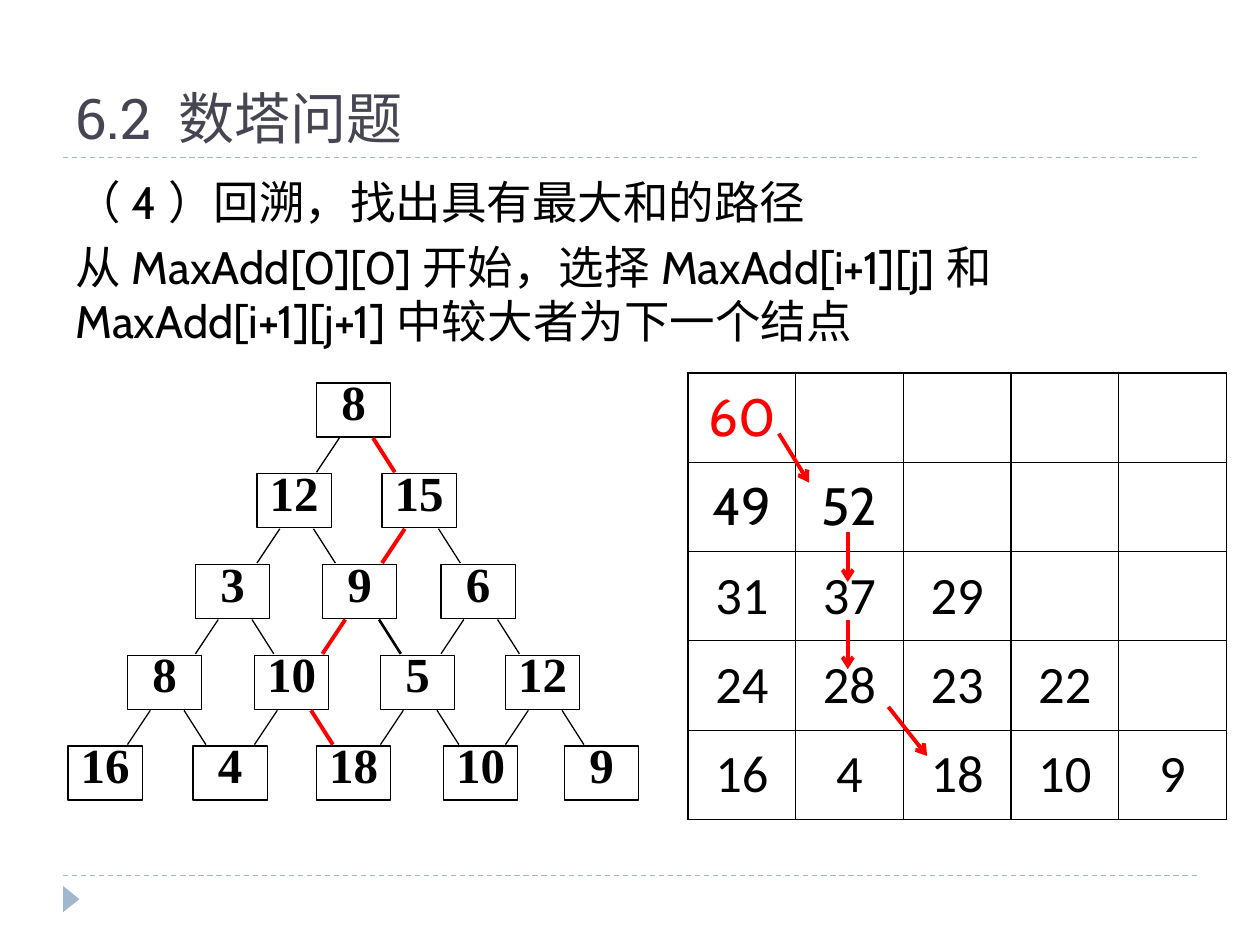
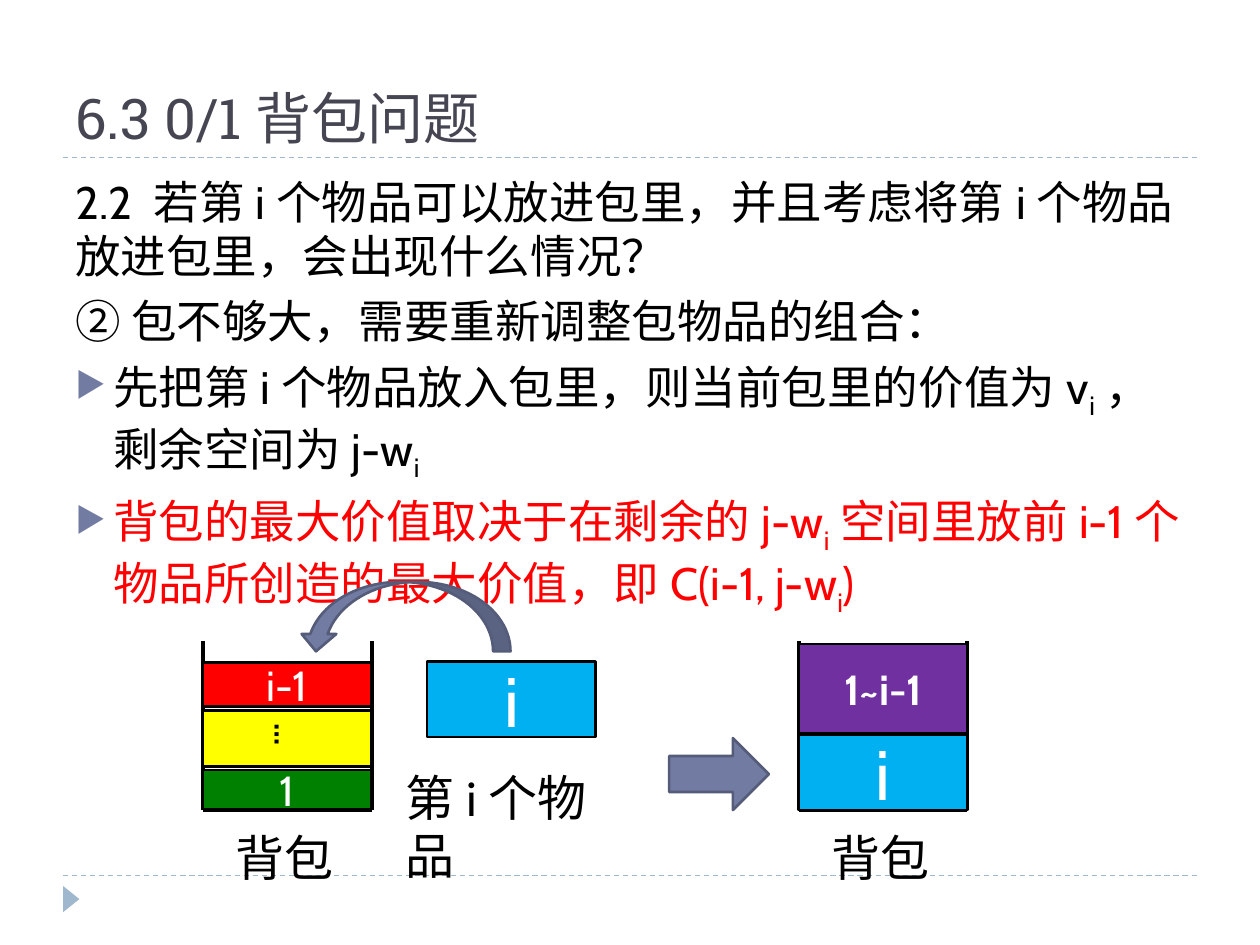
from dataclasses import dataclass
from typing import NamedTuple, Optional

import lxml.etree
import pptx
import pptx.dml.color
import pptx.enum.dml
import pptx.enum.shapes
import pptx.enum.text
import pptx.oxml.ns
import pptx.util

Cm = pptx.util.Cm
Pt = pptx.util.Pt
qn = pptx.oxml.ns.qn
SHAPE = pptx.enum.shapes.MSO_SHAPE
ALIGN = pptx.enum.text.PP_ALIGN
ANCHOR = pptx.enum.text.MSO_ANCHOR

COLORS = {
    "title": "464653", "rule": "9FB8CD", "bullet": "727CA3", "arrow_edge": "545C79",
    "black": "000000", "white": "FFFFFF", "red": "FF0000", "green": "008000",
    "yellow": "FFFF00", "sky": "00B0F0", "purple": "7030A0",
}
TITLE_FONT, BODY_FONT, PLAIN_FONT, NODE_FONT = (
    "Roboto Slab", "Cabin", "Calibri", "Times New Roman")


class Box(NamedTuple):
    """Left, top, width and height in centimetres."""
    left: float
    top: float
    width: float
    height: float


class Segment(NamedTuple):
    """Start and end point in centimetres."""
    x1: float
    y1: float
    x2: float
    y2: float


@dataclass
class Paragraph:
    """Runs alternate between normal text and subscript."""
    runs: tuple[str, ...]
    bulleted: bool = False
    color: Optional[str] = None


@dataclass
class Block:
    """A filled rectangle with a caption."""
    caption: str
    box: Box
    fill: str
    size: float = 24
    color: str = "white"
    bold: bool = False
    vertical: bool = False


TITLE_BOX = Box(1.27, 0.43, 22.86, 2.74)
BODY_BOX = Box(1.27, 3.38, 22.86, 13.72)
RULE_TOPS = (3.18, 17.65)

# Each tower row lists its values with their left edges.
TOWER = (
    ((8, 6.38),),
    ((12, 5.18), (15, 7.70)),
    ((3, 3.94), (9, 6.50), (6, 8.89)),
    ((8, 2.57), (10, 5.13), (5, 7.67), (12, 10.19)),
    ((16, 1.37), (4, 3.89), (18, 6.38), (10, 8.94), (9, 11.38)),
)
BEST_PATH = (0, 1, 1, 1, 2)
TOWER_TOP, TOWER_PITCH = 7.72, 1.83
NODE_WIDTH, NODE_HEIGHT = 1.5, 1.09
EDGE_OFFSETS = ((0.46, 0), (1.14, 1.58))

MAX_ADD = ((60,), (49, 52), (31, 37, 29), (24, 28, 23, 22), (16, 4, 18, 10, 9))
TABLE_LEFT, TABLE_TOP, COLUMN_WIDTH, ROW_HEIGHT = 13.87, 7.52, 2.17, 1.8
BACKTRACK = (
    Segment(15.70, 8.74, 16.31, 9.73),
    Segment(17.09, 10.72, 17.09, 11.73),
    Segment(17.91, 14.25, 18.69, 15.24),
    Segment(17.09, 12.50, 17.09, 13.49),
)

BAG_TOP, BAG_SIDE = 12.93, 3.4
FULL_BAG_LEFT, NEW_BAG_LEFT = 4.09, 16.1
BLOCKS = (
    Block("1", Box(FULL_BAG_LEFT, 15.52, BAG_SIDE, 0.79), "green"),
    Block("…", Box(FULL_BAG_LEFT, 14.33, BAG_SIDE, 1.12), "yellow", 18, "black", True, True),
    Block("i-1", Box(FULL_BAG_LEFT, 13.36, BAG_SIDE, 0.89), "red"),
    Block("i", Box(8.61, 13.34, BAG_SIDE, 1.52), "sky", 40),
    Block("i", Box(NEW_BAG_LEFT, 14.81, BAG_SIDE, 1.52), "sky", 40),
    Block("1~i-1", Box(NEW_BAG_LEFT, 12.98, BAG_SIDE, 1.8), "purple", bold=True),
)


def rgb(name: str) -> pptx.dml.color.RGBColor:
    return pptx.dml.color.RGBColor.from_string(COLORS[name])


def lengths(values: tuple) -> list:
    return [Cm(value) for value in values]


def add_bullet(paragraph) -> None:
    properties = paragraph._p.get_or_add_pPr()
    properties.set("marL", str(Cm(0.76)))
    properties.set("indent", str(-Cm(0.76)))
    color = lxml.etree.SubElement(properties, qn("a:buClr"))
    lxml.etree.SubElement(color, qn("a:srgbClr"), val=COLORS["bullet"])
    lxml.etree.SubElement(properties, qn("a:buSzPct"), val="76000")
    lxml.etree.SubElement(properties, qn("a:buChar"), char="▶")


def write_text(frame, *paragraphs: Paragraph, size: float, font: str = BODY_FONT,
               color: str = "black", bold: bool = False, align=ALIGN.LEFT,
               anchor=ANCHOR.TOP, line_spacing: Optional[float] = None,
               space_before: float = 0, wrap: bool = True,
               margin: Optional[float] = None) -> None:
    frame.word_wrap = wrap
    frame.vertical_anchor = anchor
    if margin is not None:
        frame.margin_left = frame.margin_right = Cm(margin)
        frame.margin_top = frame.margin_bottom = Cm(margin)
    for index, content in enumerate(paragraphs):
        paragraph = frame.add_paragraph() if index else frame.paragraphs[0]
        paragraph.alignment = align
        paragraph.space_before = Pt(space_before)
        if line_spacing:
            paragraph.line_spacing = line_spacing
        if content.bulleted:
            add_bullet(paragraph)
        for position, text in enumerate(content.runs):
            run = paragraph.add_run()
            run.text = text
            run.font.size = Pt(size)
            run.font.name = font
            run.font.bold = bold
            run.font.color.rgb = rgb(content.color or color)
            if position % 2:
                run.font._element.set("baseline", "-25000")


def draw_text(slide, box: Box, *paragraphs: Paragraph, **text_format) -> None:
    text_box = slide.shapes.add_textbox(*lengths(box))
    write_text(text_box.text_frame, *paragraphs, **text_format)


def draw_shape(slide, kind, box: Box, fill: str, edge: Optional[str] = None,
               width: float = 1.5, rotation: float = 0):
    shape = slide.shapes.add_shape(kind, *lengths(box))
    shape.shadow.inherit = False
    shape.rotation = rotation
    shape.fill.solid()
    shape.fill.fore_color.rgb = rgb(fill)
    if edge:
        shape.line.color.rgb = rgb(edge)
        shape.line.width = Pt(width)
    else:
        shape.line.fill.background()
    return shape


def draw_line(slide, segment: Segment, color: str = "black", width: float = 0.75,
              dashed: bool = False, arrow: bool = False) -> None:
    connector = slide.shapes.add_connector(
        pptx.enum.shapes.MSO_CONNECTOR.STRAIGHT, *lengths(segment))
    connector.line.color.rgb = rgb(color)
    connector.line.width = Pt(width)
    if dashed:
        connector.line.dash_style = pptx.enum.dml.MSO_LINE.DASH
    properties = connector._element.spPr
    if arrow:
        lxml.etree.SubElement(properties.find(qn("a:ln")), qn("a:tailEnd"), type="arrow")
    lxml.etree.SubElement(properties, qn("a:effectLst"))


def start_slide(deck, title: str, *body: Paragraph):
    """Add a slide with the shared rules, corner marker, title and body text."""
    slide = deck.slides.add_slide(deck.slide_layouts[6])
    for top in RULE_TOPS:
        draw_line(slide, Segment(1.27, top, 24.13, top), "rule", dashed=True)
    draw_shape(slide, SHAPE.ISOSCELES_TRIANGLE, Box(1.17, 17.96, 0.53, 0.33), "rule",
               rotation=90)
    draw_text(slide, TITLE_BOX, Paragraph((title,)), size=32, font=TITLE_FONT,
              color="title", anchor=ANCHOR.BOTTOM)
    draw_text(slide, BODY_BOX, *body, size=26, space_before=6)
    return slide


def set_borders(cell, width: float) -> None:
    properties = cell._tc.get_or_add_tcPr()
    for index, side in enumerate(("lnL", "lnR", "lnT", "lnB")):
        border = lxml.etree.Element(qn(f"a:{side}"), w=str(Pt(width)))
        fill = lxml.etree.SubElement(border, qn("a:solidFill"))
        lxml.etree.SubElement(fill, qn("a:srgbClr"), val=COLORS["black"])
        properties.insert(index, border)


def draw_sum_table(slide) -> None:
    count = len(MAX_ADD)
    box = Box(TABLE_LEFT, TABLE_TOP, COLUMN_WIDTH * count, ROW_HEIGHT * count)
    table = slide.shapes.add_table(count, count, *lengths(box)).table
    table.first_row = table.horz_banding = False
    for row, sums in enumerate(MAX_ADD):
        table.rows[row].height = Cm(ROW_HEIGHT)
        table.columns[row].width = Cm(COLUMN_WIDTH)
        for column in range(count):
            cell = table.cell(row, column)
            cell.fill.solid()
            cell.fill.fore_color.rgb = rgb("white")
            set_borders(cell, 1 if row < 2 else 0.75)
            if column < len(sums):
                cell.vertical_anchor = ANCHOR.MIDDLE
                write_text(cell.text_frame, Paragraph((str(sums[column]),)), size=30,
                           font=BODY_FONT if row < 2 else PLAIN_FONT,
                           color="black" if row else "red", align=ALIGN.CENTER,
                           anchor=ANCHOR.MIDDLE)


def draw_tower(slide) -> None:
    for row, nodes in enumerate(TOWER):
        top = TOWER_TOP + TOWER_PITCH * row
        for value, left in nodes:
            node = draw_shape(slide, SHAPE.RECTANGLE,
                              Box(left, top, NODE_WIDTH, NODE_HEIGHT), "white", "black", 0.75)
            write_text(node.text_frame, Paragraph((str(value),)), size=28, font=NODE_FONT,
                       bold=True, align=ALIGN.CENTER, line_spacing=0.8, margin=0)
    for row, nodes in enumerate(TOWER[:-1]):
        top = TOWER_TOP + TOWER_PITCH * row
        for column, (_, left) in enumerate(nodes):
            for step, (start, end) in enumerate(EDGE_OFFSETS):
                chosen = BEST_PATH[row:row + 2] == (column, column + step)
                heavy = (row, column, step) == (2, 1, 1)
                draw_line(slide, Segment(left + start, top + 1.11, left + end, top + 1.8),
                          "red" if chosen else "black",
                          2.25 if chosen else 1.5 if heavy else 0.75)


def draw_bag(slide, left: float) -> None:
    right, bottom = left + BAG_SIDE, BAG_TOP + BAG_SIDE
    for wall in (Segment(left, BAG_TOP, left, bottom),
                 Segment(left, bottom, right, bottom),
                 Segment(right, bottom, right, BAG_TOP)):
        draw_line(slide, wall, width=2.25)
    draw_text(slide, Box(left + 0.41, 16.56, 2.51, 1.45), Paragraph(("背包",)), size=28,
              font=PLAIN_FONT, wrap=False)


def draw_block(slide, block: Block) -> None:
    shape = draw_shape(slide, SHAPE.RECTANGLE, block.box, block.fill, "black")
    write_text(shape.text_frame, Paragraph((block.caption,)), size=block.size,
               color=block.color, bold=block.bold, align=ALIGN.CENTER, anchor=ANCHOR.MIDDLE)
    if block.vertical:
        shape.text_frame._txBody.bodyPr.set("vert", "eaVert")


def build_tower_slide(deck) -> None:
    slide = start_slide(
        deck, "6.2 数塔问题",
        Paragraph(("（4）回溯，找出具有最大和的路径",)),
        Paragraph(("从MaxAdd[0][0]开始，选择MaxAdd[i+1][j]和MaxAdd[i+1][j+1]中较大者为下一个结点",)))
    draw_sum_table(slide)
    for step in BACKTRACK:
        draw_line(slide, step, "red", 2.25, arrow=True)
    draw_tower(slide)


def build_knapsack_slide(deck) -> None:
    slide = start_slide(
        deck, "6.3 0/1背包问题",
        Paragraph(("2.2 若第i个物品可以放进包里，并且考虑将第i个物品放进包里，会出现什么情况？",)),
        Paragraph(("② 包不够大，需要重新调整包物品的组合：",)),
        Paragraph(("先把第i个物品放入包里，则当前包里的价值为v", "i", "，剩余空间为j-w", "i"), True),
        Paragraph(("背包的最大价值取决于在剩余的j-w", "i",
                   "空间里放前i-1个物品所创造的最大价值，即C(i-1, j-w", "i", ")"), True, "red"))
    for left in (FULL_BAG_LEFT, NEW_BAG_LEFT):
        draw_bag(slide, left)
    draw_text(slide, Box(7.92, 15.34, 4.72, 1.45), Paragraph(("第i个物品",)), size=28,
              font=PLAIN_FONT)
    draw_shape(slide, SHAPE.CURVED_UP_ARROW, Box(6.02, 11.73, 4.27, 1.4), "bullet",
               "arrow_edge", rotation=180)
    draw_shape(slide, SHAPE.RIGHT_ARROW, Box(13.49, 14.88, 2.01, 1.45), "bullet", "arrow_edge")
    for block in BLOCKS:
        draw_block(slide, block)


def main() -> None:
    deck = pptx.Presentation()
    deck.slide_width, deck.slide_height = Cm(25.4), Cm(19.05)
    build_tower_slide(deck)
    build_knapsack_slide(deck)
    deck.save("out.pptx")


if __name__ == "__main__":
    main()
